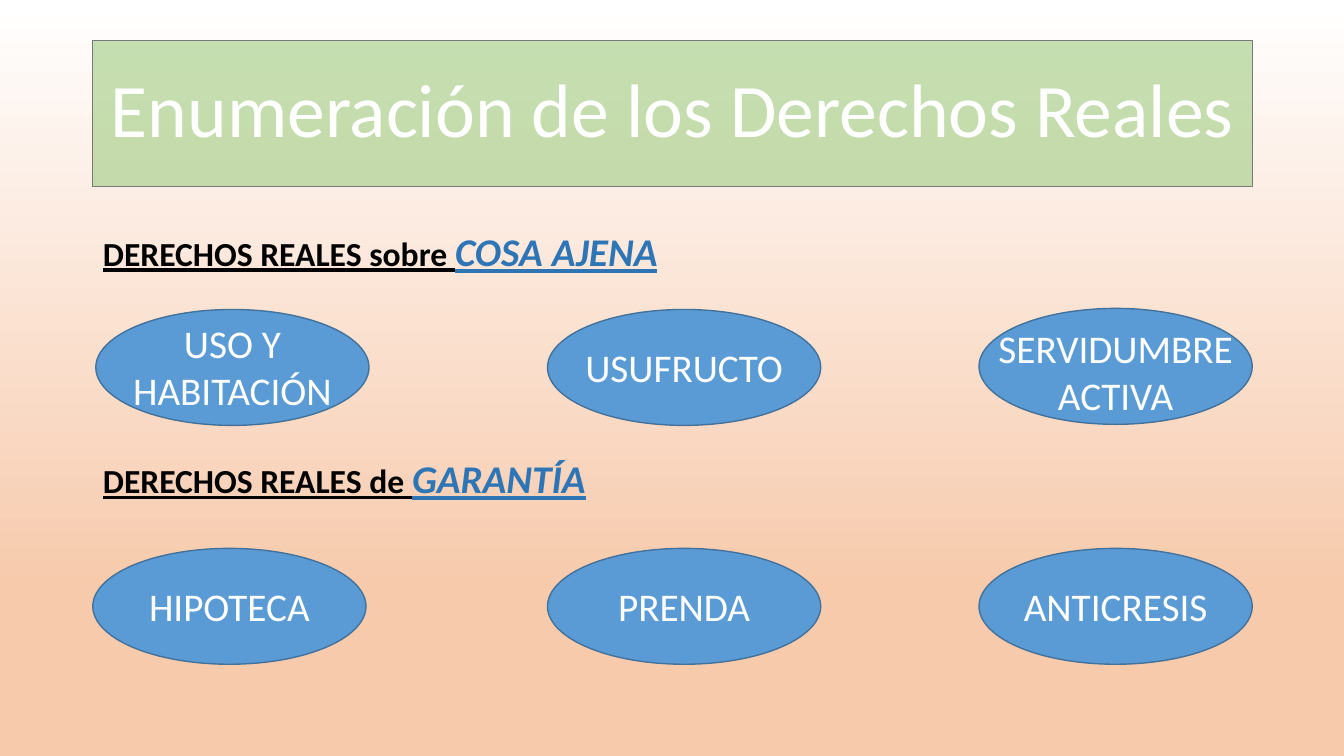
from lxml.etree import SubElement
from pptx import Presentation
from pptx.dml.color import RGBColor
from pptx.enum.shapes import MSO_SHAPE
from pptx.enum.text import MSO_ANCHOR, MSO_AUTO_SIZE, PP_ALIGN
from pptx.oxml.ns import qn
from pptx.util import Inches, Pt

COLORS = {
    "white": "FFFFFF", "black": "000000", "peach": "F7CAAC", "green": "A8D08C",
    "gray": "787878", "blue": "5B9BD5", "edge": "42719B", "accent": "2E75B5",
}


class Deck:
    face = "Calibri"

    def __init__(self):
        self.prs = Presentation()
        self.prs.slide_width = Inches(13.33)
        self.prs.slide_height = Inches(7.5)
        self.slide = self.prs.slides.add_slide(self.prs.slide_layouts[1])

    def color(self, name):
        return RGBColor.from_string(COLORS[name])

    def place(self, shape, left, top, width, height):
        shape.left, shape.top = Inches(left), Inches(top)
        shape.width, shape.height = Inches(width), Inches(height)

    def paint(self, shape, fill, line):
        shape.fill.solid()
        shape.fill.fore_color.rgb = self.color(fill)
        shape.line.color.rgb = self.color(line)
        shape.line.width = Pt(1)

    def style(self, font, size, color):
        font.name = self.face
        font.size = Pt(size)
        font.color.rgb = self.color(color)

    def backdrop(self, start, end):
        fill = self.slide.background.fill
        fill.gradient()
        fill.gradient_angle = 270
        for stop, name, spot in zip(fill.gradient_stops, (start, end), (0, 0.78)):
            stop.color.rgb = self.color(name)
            stop.position = spot

    def title(self, text, *box):
        shape = self.slide.shapes.title
        self.place(shape, *box)
        self.paint(shape, "green", "gray")
        tint = shape.fill._xPr.find(qn("a:solidFill"))[0]
        SubElement(tint, qn("a:alpha"), val="66000")
        frame = shape.text_frame
        frame.text = text
        frame.auto_size = MSO_AUTO_SIZE.NONE
        frame.vertical_anchor = MSO_ANCHOR.MIDDLE
        para = frame.paragraphs[0]
        para.alignment = PP_ALIGN.CENTER
        para.line_spacing = 0.9
        self.style(para.font, 54, "white")

    def body(self, heads, gap, *box):
        shape = self.slide.placeholders[1]
        self.place(shape, *box)
        frame = shape.text_frame
        frame.auto_size = MSO_AUTO_SIZE.NONE
        for i, (lead, topic) in enumerate(heads):
            para = frame.add_paragraph() if i else frame.paragraphs[0]
            props = para._p.get_or_add_pPr()
            props.set("marL", "0")
            props.set("indent", "0")
            SubElement(props, qn("a:buNone"))
            para.line_spacing = 0.9
            para.space_before = Pt(gap if i else 0)
            para.font.name = self.face
            para.font.bold = para.font.underline = True
            for text, size, color in ((lead, 24, "black"), (topic, 28, "accent")):
                run = para.add_run()
                run.text = text
                self.style(run.font, size, color)
                run.font.italic = text == topic

    def oval(self, left, top, width, height):
        shape = self.slide.shapes.add_shape(
            MSO_SHAPE.OVAL, Inches(left), Inches(top), Inches(width), Inches(height))
        shape.shadow.inherit = False
        self.paint(shape, "blue", "edge")

    def label(self, text, *box):
        shape = self.slide.shapes.add_textbox(*map(Inches, box))
        frame = shape.text_frame
        frame.word_wrap = True
        frame.text = text
        para = frame.paragraphs[0]
        para.alignment = PP_ALIGN.CENTER
        self.style(para.font, 28, "white")


def main():
    deck = Deck()
    deck.backdrop("white", "peach")
    deck.title("Enumeración de los Derechos Reales", 0.92, 0.4, 11.5, 1.45)
    deck.body([("DERECHOS REALES sobre ", "COSA AJENA"),
               ("DERECHOS REALES de ", "GARANTÍA")], 132, 0.92, 2.26, 11.5, 4.76)
    wide, high = 2.71, 1.15
    rights = [
        ("USO Y HABITACIÓN", 0.95, 3.07, 2.31, 3.12, 1.04),
        ("USUFRUCTO", 5.43, 3.07, 2.31, 3.36, 0.57),
        ("SERVIDUMBRE ACTIVA", 9.71, 3.06, wide, 3.17, 1.04),
        ("HIPOTECA", 0.92, 5.44, 2.31, 5.73, 0.57),
        ("PRENDA", 5.43, 5.44, 2.31, 5.73, 0.57),
        ("ANTICRESIS", 9.71, 5.44, 2.31, 5.73, 0.57),
    ]
    for text, left, top, span, head, tall in rights:
        deck.oval(left, top, wide, high)
        deck.label(text, left + (wide - span) / 2, head, span, tall)
    deck.prs.save("out.pptx")


if __name__ == "__main__":
    main()
